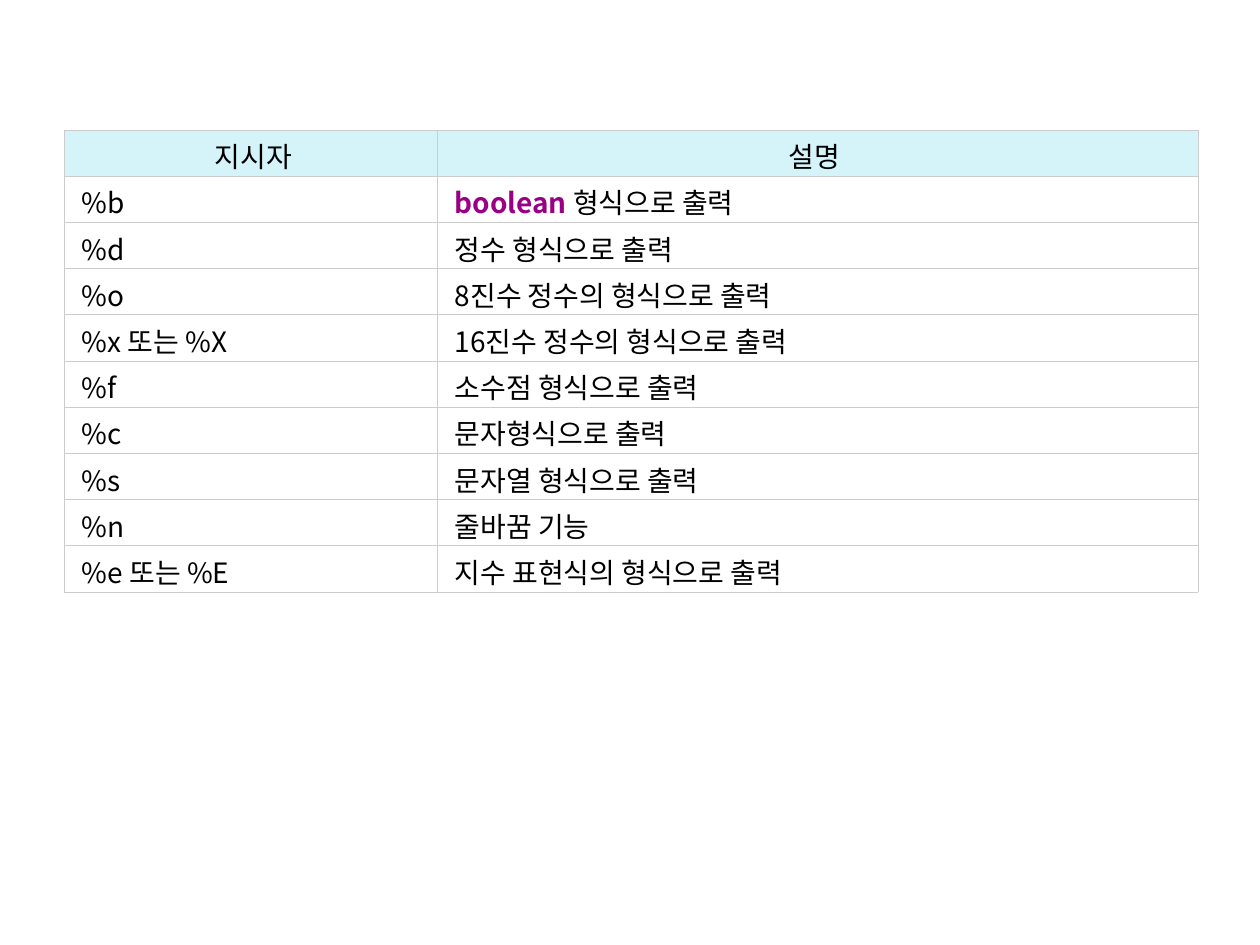
from lxml.etree import SubElement
from pptx import Presentation
from pptx.dml.color import RGBColor
from pptx.enum.text import MSO_ANCHOR, PP_ALIGN
from pptx.oxml.ns import qn
from pptx.util import Pt

PX = 914400 // 126
FONT = "Noto Sans CJK KR"
COLORS = {"text": "000000", "keyword": "990085", "header": "D4F4FA",
          "body": "FFFFFF", "border": "CCCCCC"}

SPECIFIERS = [
    ("지시자", "설명"),
    ("%b", "boolean 형식으로 출력"),
    ("%d", "정수 형식으로 출력"),
    ("%o", "8진수 정수의 형식으로 출력"),
    ("%x 또는 %X", "16진수 정수의 형식으로 출력"),
    ("%f", "소수점 형식으로 출력"),
    ("%c", "문자형식으로 출력"),
    ("%s", "문자열 형식으로 출력"),
    ("%n", "줄바꿈 기능"),
    ("%e 또는 %E", "지수 표현식의 형식으로 출력"),
]
KEYWORD = "boolean "


def add_text(paragraph, text, color="text", bold=False, align=PP_ALIGN.LEFT):
    paragraph.alignment = align
    run = paragraph.add_run()
    run.text = text
    run.font.name = FONT
    run.font.size = Pt(16)
    run.font.bold = bold
    run.font.color.rgb = RGBColor.from_string(COLORS[color])
    SubElement(run.font._element, qn("a:ea"), typeface=FONT)


def add_borders(cell):
    properties = cell._tc.get_or_add_tcPr()
    for side in ("lnL", "lnR", "lnT", "lnB"):
        line = SubElement(properties, qn(f"a:{side}"), w=str(Pt(0.34)))
        fill = SubElement(line, qn("a:solidFill"))
        SubElement(fill, qn("a:srgbClr"), val=COLORS["border"])


prs = Presentation()
prs.slide_width = 1260 * PX
prs.slide_height = 945 * PX
slide = prs.slides.add_slide(prs.slide_layouts[6])

# Table grid
column_widths = (373, 761)
table_height = 462 * PX
table = slide.shapes.add_table(
    len(SPECIFIERS), len(column_widths), 64 * PX, 130 * PX,
    sum(column_widths) * PX, table_height).table
for column, width in zip(table.columns, column_widths):
    column.width = width * PX
for row in table.rows:
    row.height = table_height // len(SPECIFIERS)

# Header and format specifiers
for r, row in enumerate(SPECIFIERS):
    is_header = r == 0
    for c, text in enumerate(row):
        cell = table.cell(r, c)
        add_borders(cell)
        cell.fill.solid()
        cell.fill.fore_color.rgb = RGBColor.from_string(
            COLORS["header" if is_header else "body"])
        cell.vertical_anchor = MSO_ANCHOR.MIDDLE
        cell.margin_top, cell.margin_bottom = 5 * PX, 0
        cell.margin_left, cell.margin_right = 18 * PX, 12 * PX
        if is_header and c == 1:
            cell.margin_left, cell.margin_right = 12 * PX, 18 * PX

        paragraph = cell.text_frame.paragraphs[0]
        if text.startswith(KEYWORD):
            add_text(paragraph, KEYWORD, color="keyword", bold=True)
            text = text.removeprefix(KEYWORD)
        add_text(paragraph, text,
                 align=PP_ALIGN.CENTER if is_header else PP_ALIGN.LEFT)

prs.save("out.pptx")
